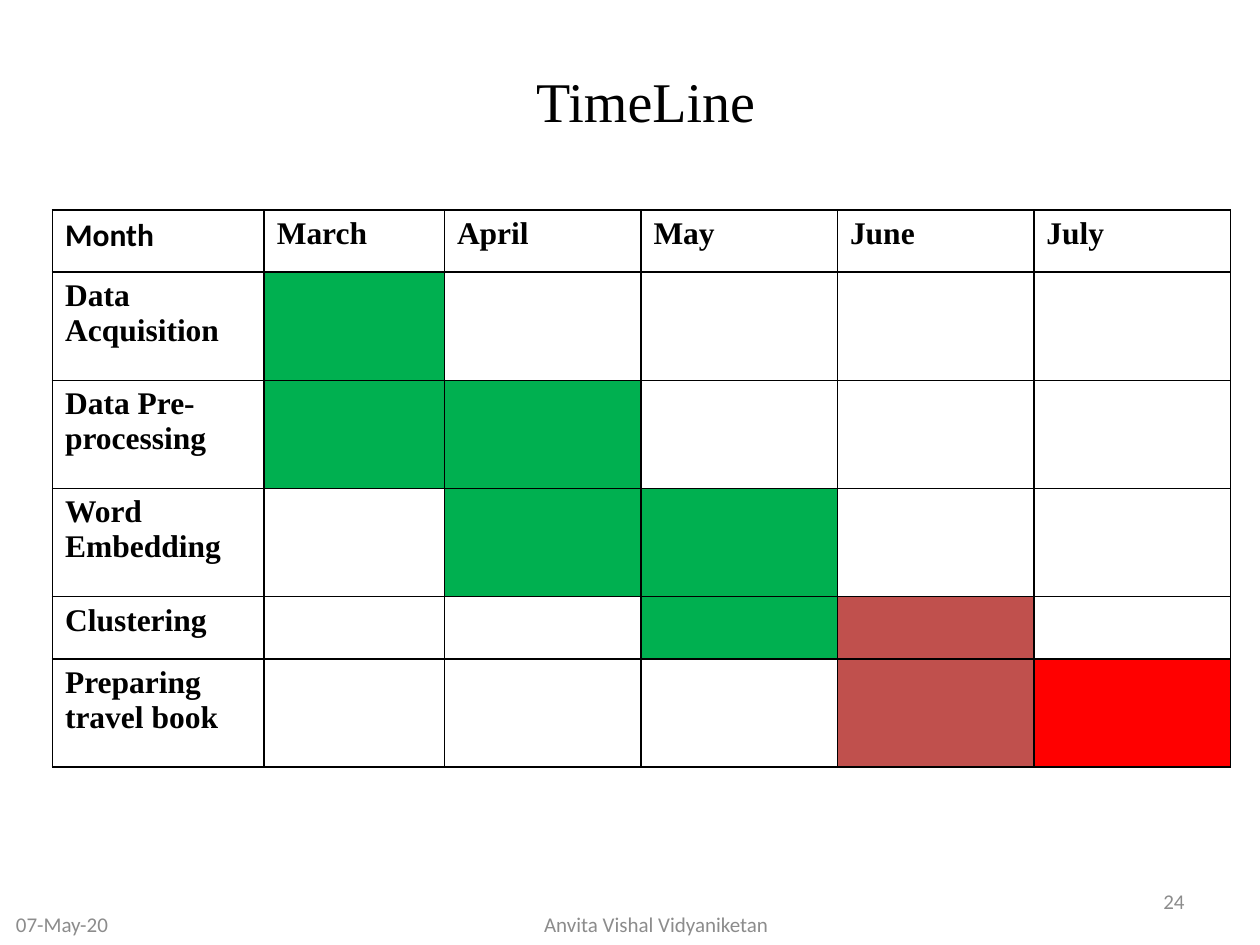
import dataclasses

import pptx
import pptx.dml.color
import pptx.enum.text
import pptx.oxml
import pptx.oxml.ns
import pptx.util

Pt = pptx.util.Pt
Align = pptx.enum.text.PP_ALIGN
Anchor = pptx.enum.text.MSO_ANCHOR


@dataclasses.dataclass(frozen=True)
class Theme:
    ink: str = "000000"
    muted: str = "8C8C8C"
    done: str = "00B050"
    active: str = "C0504D"
    late: str = "FF0000"
    serif: str = "Times New Roman"
    sans: str = "Calibri"
    title: int = 32
    body: int = 18
    small: int = 12


THEME = Theme()

MONTHS = ["March", "April", "May", "June", "July"]

# Each task maps its busy months to a colour
TASKS = [
    ("Data Acquisition", {"March": THEME.done}),
    ("Data Pre-processing", {"March": THEME.done, "April": THEME.done}),
    ("Word Embedding", {"April": THEME.done, "May": THEME.done}),
    ("Clustering", {"May": THEME.done, "June": THEME.active}),
    ("Preparing travel book", {"June": THEME.active, "July": THEME.late}),
]

WIDTHS = [121, 103] + [112.3] * 4
SHORT, TALL = 35.6, 61.8
HEIGHTS = [SHORT, TALL, TALL, TALL, SHORT, TALL]


def rgb(code):
    return pptx.dml.color.RGBColor.from_string(code)


def write(frame, text, font=THEME.serif, size=THEME.body,
          color=THEME.ink, bold=False, align=Align.LEFT):
    """Put one formatted line of text into a frame."""
    para = frame.paragraphs[0]
    para.alignment = align
    run = para.add_run()
    run.text = text
    run.font.name = font
    run.font.size = Pt(size)
    run.font.bold = bold
    run.font.color.rgb = rgb(color)


def label(slide, text, box, **style):
    """Add a text box, centred vertically."""
    frame = slide.shapes.add_textbox(*map(Pt, box)).text_frame
    frame.word_wrap = True
    frame.vertical_anchor = Anchor.MIDDLE
    write(frame, text, **style)


def border(cell):
    """Draw a thin line on all four sides of a cell."""
    space = pptx.oxml.ns.nsdecls("a")
    props = cell._tc.get_or_add_tcPr()
    for side in "LRTB":
        props.append(pptx.oxml.parse_xml(
            f'<a:ln{side} {space} w="{Pt(1)}"><a:solidFill>'
            f'<a:srgbClr val="{THEME.ink}"/></a:solidFill></a:ln{side}>'))


def paint(cell, color=None):
    """Give a cell its lines and its fill, if any."""
    border(cell)
    if color:
        cell.fill.solid()
        cell.fill.fore_color.rgb = rgb(color)
    else:
        cell.fill.background()


def chart(slide):
    """Add the month-by-task table."""
    table = slide.shapes.add_table(
        len(HEIGHTS), len(WIDTHS), Pt(30), Pt(120),
        Pt(sum(WIDTHS)), Pt(sum(HEIGHTS))).table
    table.first_row = table.horz_banding = False
    for col, width in zip(table.columns, WIDTHS):
        col.width = Pt(width)
    for row, height in zip(table.rows, HEIGHTS):
        row.height = Pt(height)

    # Header row
    for col, name in enumerate(["Month"] + MONTHS):
        cell = table.cell(0, col)
        paint(cell)
        write(cell.text_frame, name, bold=True,
              font=THEME.serif if col else THEME.sans)

    # Task rows
    for row, (task, spans) in enumerate(TASKS, 1):
        head = table.cell(row, 0)
        paint(head)
        write(head.text_frame, task, bold=True)
        for col, month in enumerate(MONTHS, 1):
            paint(table.cell(row, col), spans.get(month))


def footer(slide):
    """Add date, institute and page number."""
    style = dict(font=THEME.sans, size=THEME.small, color=THEME.muted)
    label(slide, "07-May-20", (2, 516, 270, 24), **style)
    label(slide, "Anvita Vishal Vidyaniketan", (240, 517, 270, 22),
          align=Align.CENTER, **style)
    label(slide, "24", (516, 500.5, 168, 29), align=Align.RIGHT, **style)


def main():
    deck = pptx.Presentation()
    deck.slide_width, deck.slide_height = Pt(720), Pt(540)
    slide = deck.slides.add_slide(deck.slide_layouts[6])
    chart(slide)
    footer(slide)
    label(slide, "TimeLine", (36, 12, 666, 90),
          size=THEME.title, align=Align.CENTER)
    deck.save("out.pptx")


if __name__ == "__main__":
    main()
